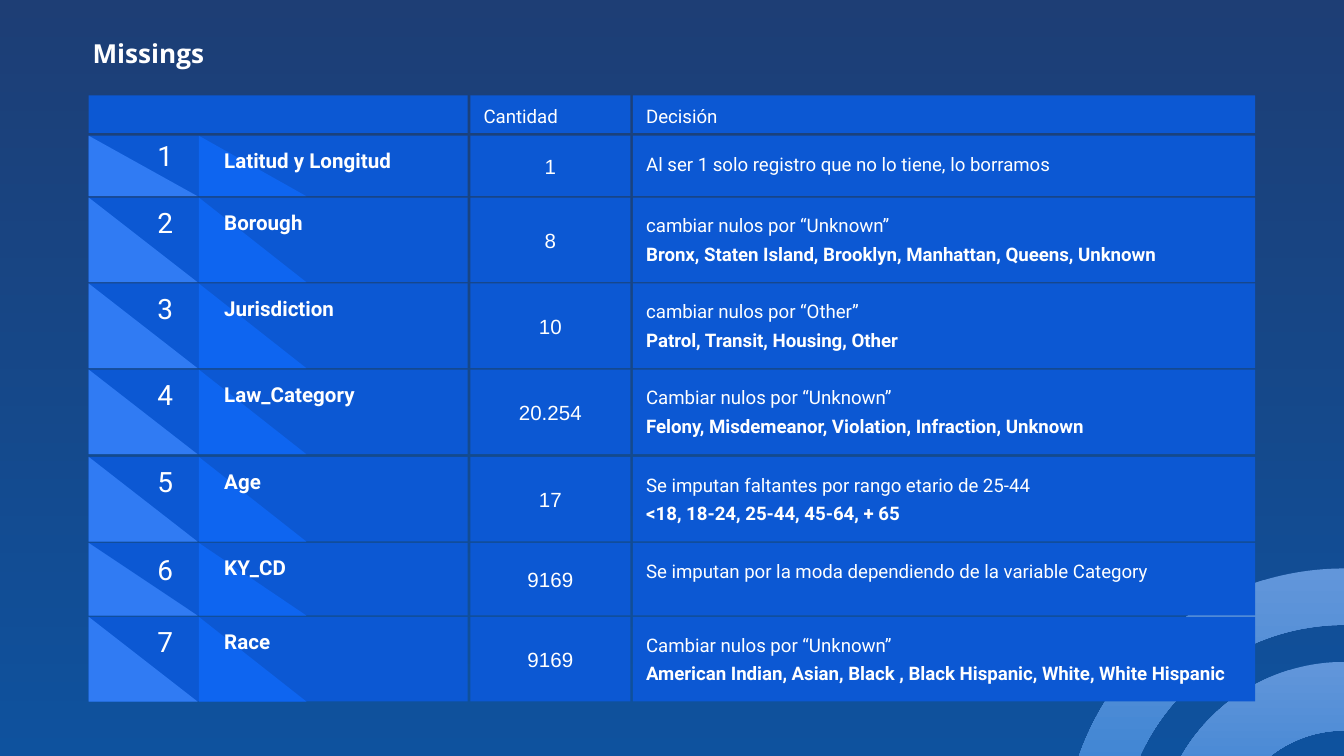
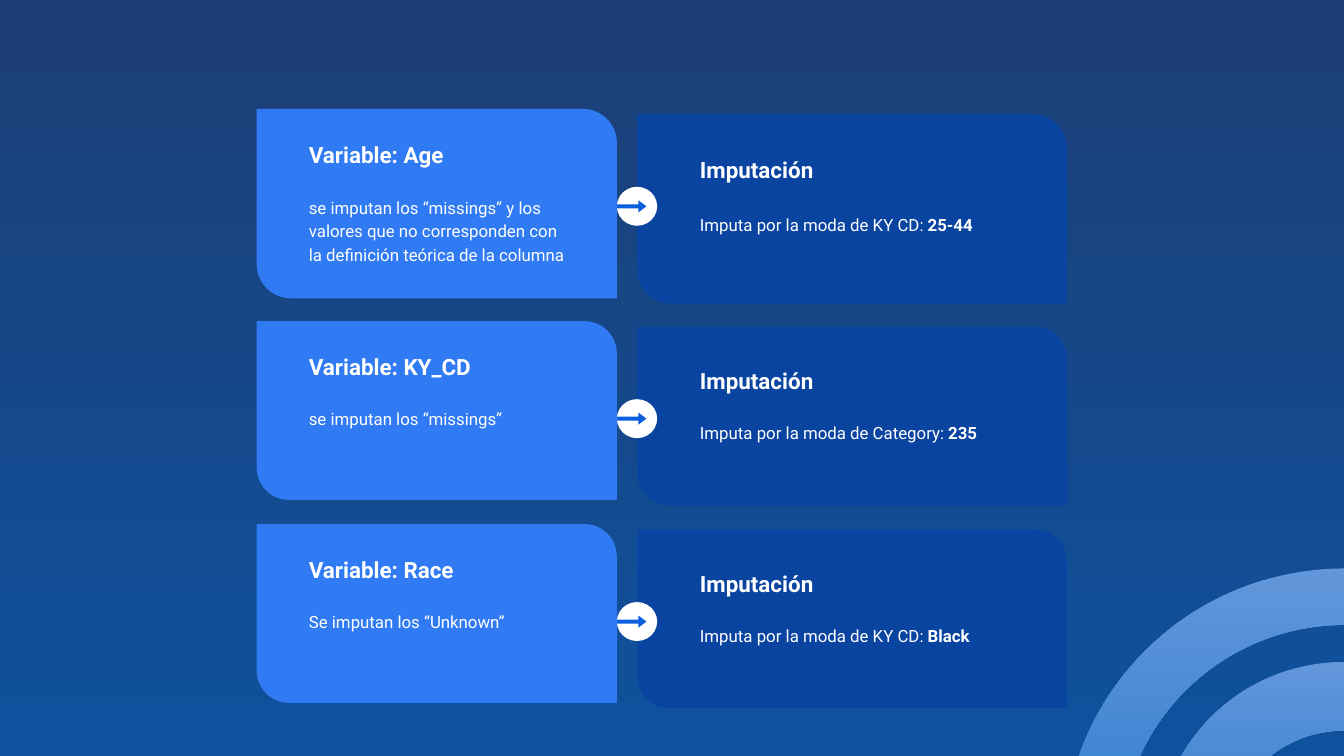
"""Build two slides on missing values and how they are imputed."""
from lxml.etree import SubElement
from pptx import Presentation
from pptx.dml.color import RGBColor
from pptx.enum.shapes import MSO_SHAPE as Shape
from pptx.enum.text import MSO_ANCHOR as Anchor, PP_ALIGN as Align
from pptx.oxml.ns import qn
from pptx.util import Inches, Pt

SLIDE_WIDTH = 10
SLIDE_HEIGHT = SLIDE_WIDTH * 9 / 16
NAVY, OCEAN, RING = "1E3E75", "0066C7", "6296DA"
CELL, BRIGHT, SKY = "0C58D3", "0E65F0", "307BF3"
DEEP, ARROW, WHITE = "0944A1", "0D5DDF", "FFFFFF"

LABEL_COLUMN, COUNT_COLUMN, DECISION_COLUMN = (0.66, 2.82), (3.5, 1.19), (4.71, 4.63)
HEADER_TOP, HEADER_HEIGHT = 0.71, 0.28
NUMBER_BOXES = {0.45: (0.1, 0.27), 0.54: (0.09, 0.33), 0.63: (0.03, 0.38)}
MISSING_ROWS = [
    (1.01, 0.45, "Latitud y Longitud", "1",
     "Al ser 1 solo registro que no lo tiene, lo borramos", ""),
    (1.47, 0.63, "Borough", "8", "cambiar nulos por “Unknown”",
     "Bronx, Staten Island, Brooklyn, Manhattan, Queens, Unknown"),
    (2.11, 0.63, "Jurisdiction", "10", "cambiar nulos por “Other”",
     "Patrol, Transit, Housing, Other"),
    (2.75, 0.63, "Law_Category", "20.254", "Cambiar nulos por “Unknown”",
     "Felony, Misdemeanor, Violation, Infraction, Unknown"),
    (3.4, 0.63, "Age", "17", "Se imputan faltantes por rango etario de 25-44",
     "<18, 18-24, 25-44, 45-64, + 65"),
    (4.04, 0.54, "KY_CD", "9169",
     "Se imputan por la moda dependiendo de la variable Category", ""),
    (4.59, 0.63, "Race", "9169", "Cambiar nulos por “Unknown”",
     "American Indian, Asian, Black , Black Hispanic, White, White Hispanic"),
]
IMPUTATIONS = [
    (0.81, 1.41, "Age", "se imputan los “missings” y los valores que no "
     "corresponden con la definición teórica de la columna", "KY CD", "25-44"),
    (2.39, 1.33, "KY_CD", "se imputan los “missings”", "Category", "235"),
    (3.9, 1.33, "Race", "Se imputan los “Unknown”", "KY CD", "Black"),
]


def rgb(value):
    """Turn a hex string into a colour."""
    return RGBColor.from_string(value)


def set_gradient(fill, top, bottom):
    """Fill with a gradient that runs from top to bottom."""
    fill.gradient()
    fill.gradient_angle = 270
    for stop, color in zip(fill.gradient_stops, (top, bottom)):
        stop.color.rgb = rgb(color)


def prepare_frame(shape, anchor):
    """Set wrapping, anchor and insets of a shape's text."""
    frame = shape.text_frame
    frame.word_wrap = True
    frame.vertical_anchor = anchor
    frame.margin_left = frame.margin_right = Inches(0.1)
    frame.margin_top = frame.margin_bottom = Inches(0.1)


def add_block(slide, kind, left, top, width, height, color, adjustments=(), anchor=Anchor.TOP):
    """Add a flat preset shape without an outline."""
    shape = slide.shapes.add_shape(kind, *map(Inches, (left, top, width, height)))
    shape.shadow.inherit = False
    shape.fill.solid()
    shape.fill.fore_color.rgb = rgb(color)
    shape.line.fill.background()
    for index, value in enumerate(adjustments):
        shape.adjustments[index] = value
    prepare_frame(shape, anchor)
    return shape


def add_box(slide, left, top, width, height, anchor=Anchor.TOP):
    """Add an empty text box."""
    box = slide.shapes.add_textbox(*map(Inches, (left, top, width, height)))
    prepare_frame(box, anchor)
    return box


def write(shape, text, size=10, font="Roboto", bold=False, align=Align.LEFT,
          spacing=None, before=None, new_paragraph=False):
    """Add a run of white text to the last or to a new paragraph."""
    frame = shape.text_frame
    paragraph = frame.add_paragraph() if new_paragraph else frame.paragraphs[-1]
    paragraph.alignment = align
    if spacing:
        paragraph.line_spacing = spacing
    if before:
        paragraph.space_before = Pt(before)
    run = paragraph.add_run()
    run.text = text
    run.font.size, run.font.name, run.font.bold = Pt(size), font, bold
    run.font.color.rgb = rgb(WHITE)


def add_ring(slide, diameter, thickness):
    """Add a ring around the shared centre below the right corner."""
    left, top = SLIDE_WIDTH - diameter / 2, 6.32 - diameter / 2
    ring = add_block(slide, Shape.DONUT, left, top, diameter, diameter, RING,
                     [thickness / diameter])
    set_gradient(ring.fill, RING, OCEAN)


def add_base_slide(presentation):
    """Add a blank slide with the shared backdrop and rings."""
    slide = presentation.slides.add_slide(presentation.slide_layouts[6])
    set_gradient(slide.background.fill, NAVY, OCEAN)
    veil = add_block(slide, Shape.RECTANGLE, 0, 0, SLIDE_WIDTH, SLIDE_HEIGHT, NAVY)
    color = veil.fill._xPr.find(qn("a:solidFill")).find(qn("a:srgbClr"))
    SubElement(color, qn("a:alpha")).set("val", "49000")
    add_ring(slide, 2.79, 0.51)
    add_ring(slide, 4.18, 0.42)
    return slide


def add_cell(slide, column, top, height, anchor=Anchor.TOP):
    """Add one cell of the missing values grid."""
    left, width = column
    return add_block(slide, Shape.RECTANGLE, left, top, width, height, CELL, anchor=anchor)


def add_header(slide):
    """Add the header cells of the grid."""
    for column, heading in ((COUNT_COLUMN, "Cantidad"), (DECISION_COLUMN, "Decisión")):
        cell = add_cell(slide, column, HEADER_TOP, HEADER_HEIGHT, Anchor.MIDDLE)
        write(cell, heading, spacing=1.15)
    add_cell(slide, LABEL_COLUMN, HEADER_TOP, HEADER_HEIGHT)


def add_missing_row(slide, number, top, height, name, count, decision, values):
    """Add a numbered row with its variable, count and decision."""
    cell = add_cell(slide, DECISION_COLUMN, top, height)
    write(cell, decision, spacing=1.15)
    if values:
        write(cell, values, bold=True, spacing=1.15, before=1.5, new_paragraph=True)
    add_cell(slide, LABEL_COLUMN, top, height)
    add_block(slide, Shape.RIGHT_TRIANGLE, 1.48, top, 0.8, height, BRIGHT)
    add_block(slide, Shape.RIGHT_TRIANGLE, 0.66, top, 0.81, height, SKY)
    cell = add_cell(slide, COUNT_COLUMN, top, height, Anchor.MIDDLE)
    write(cell, count, size=11, font="Arial", align=Align.CENTER)
    offset, box_height = NUMBER_BOXES[height]
    box = add_box(slide, 0.98, top + offset, 0.5, box_height, Anchor.BOTTOM)
    write(box, str(number), size=15, align=Align.CENTER)
    write(add_box(slide, 1.57, top, 1.76, height), name, size=11, bold=True)


def add_card(slide, left, top, width, height, color):
    """Add a card with two opposite round corners."""
    add_block(slide, Shape.ROUND_2_DIAG_RECTANGLE, left, top, width, height, color, [0, 0.18])


def add_imputation(slide, top, height, variable, reason, source, value):
    """Add a variable card, its imputation card and the arrow between them."""
    add_card(slide, 1.91, top, 2.68, height, SKY)
    write(add_box(slide, 2.2, top + 0.14, 1.87, 0.44), f"Variable: {variable}",
          size=12, bold=True)
    write(add_box(slide, 2.2, top + 0.54, 2.14, 0.68), reason, size=9, spacing=1.15)

    right_top = top + 0.04
    heading_top, heading_height = right_top + 0.15 * height, 0.29 * height
    add_card(slide, 4.74, right_top, 3.2, height, DEEP)
    write(add_box(slide, 5.11, heading_top, 2.57, heading_height), "Imputación",
          size=12, bold=True)
    box = add_box(slide, 5.11, heading_top + heading_height + 0.02, 2.57, 0.33 * height)
    write(box, f"Imputa por la moda de {source}: ", size=9, spacing=1.15)
    write(box, value, size=9, bold=True)

    add_block(slide, Shape.OVAL, 4.59, top + 0.58, 0.3, 0.29, WHITE)
    add_block(slide, Shape.RIGHT_ARROW, 4.59, top + 0.68, 0.22, 0.09, ARROW, [0.32, 0.67])


def build_missings(presentation):
    """Build the slide with the grid of missing values."""
    slide = add_base_slide(presentation)
    write(add_box(slide, 0.59, 0.18, 3.82, 0.54), "Missings",
          size=14, font="Open Sans", bold=True)
    add_header(slide)
    for number, row in enumerate(MISSING_ROWS, 1):
        add_missing_row(slide, number, *row)


def build_imputations(presentation):
    """Build the slide with the imputation of each variable."""
    slide = add_base_slide(presentation)
    for imputation in IMPUTATIONS:
        add_imputation(slide, *imputation)


def main():
    """Build and save the presentation."""
    presentation = Presentation()
    presentation.slide_width = Inches(SLIDE_WIDTH)
    presentation.slide_height = Inches(SLIDE_HEIGHT)
    build_missings(presentation)
    build_imputations(presentation)
    presentation.save("out.pptx")


if __name__ == "__main__":
    main()
